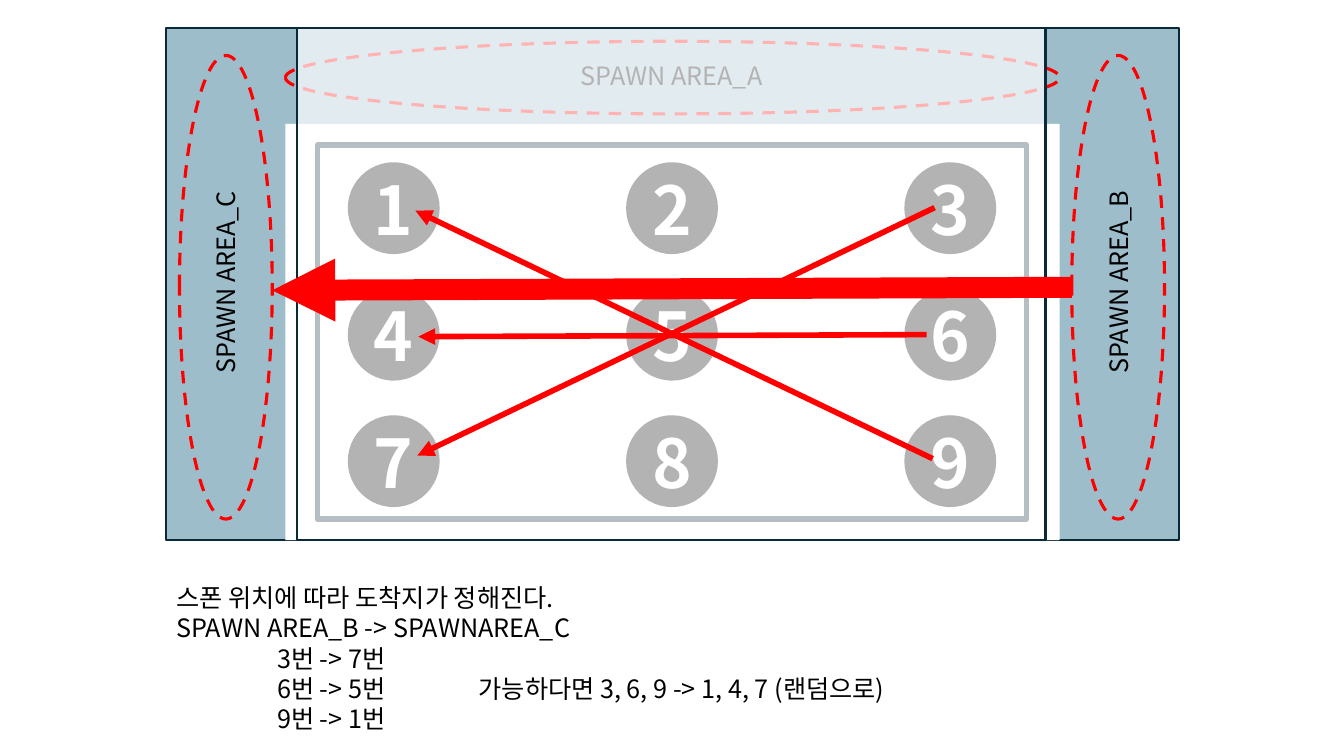
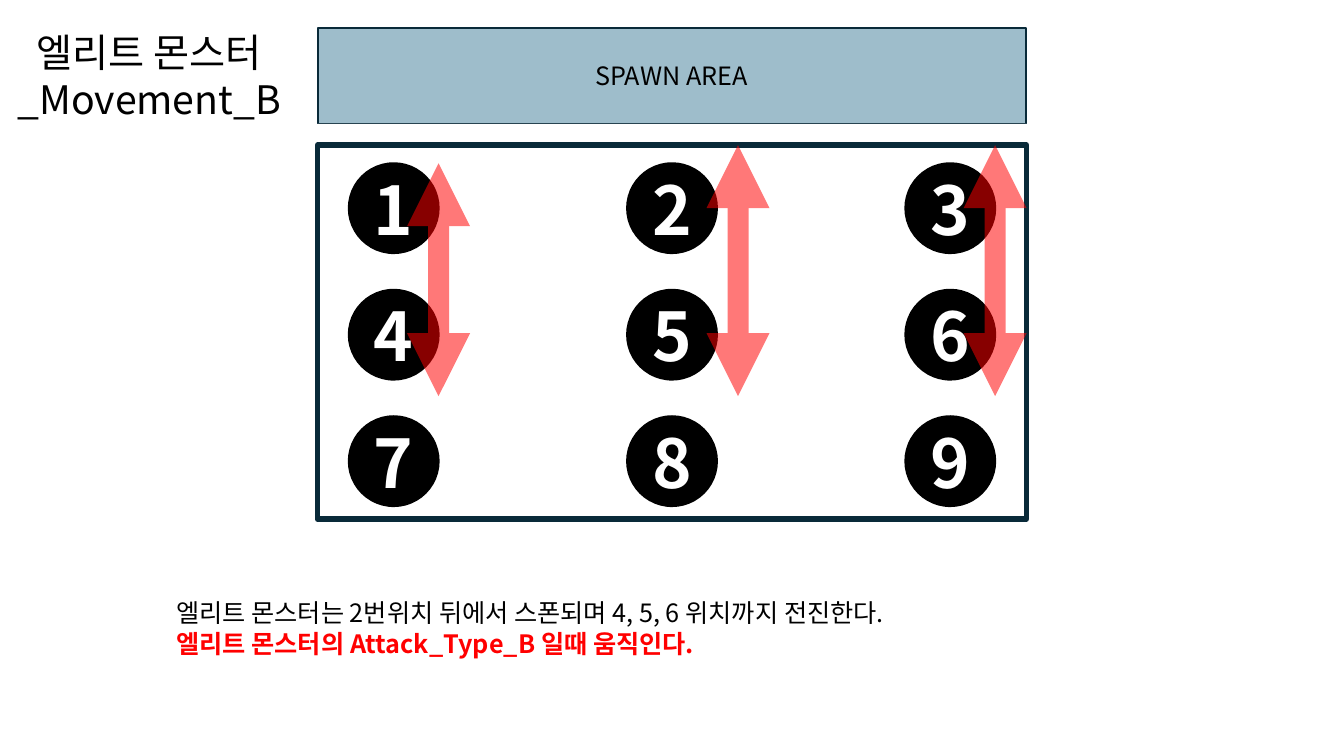
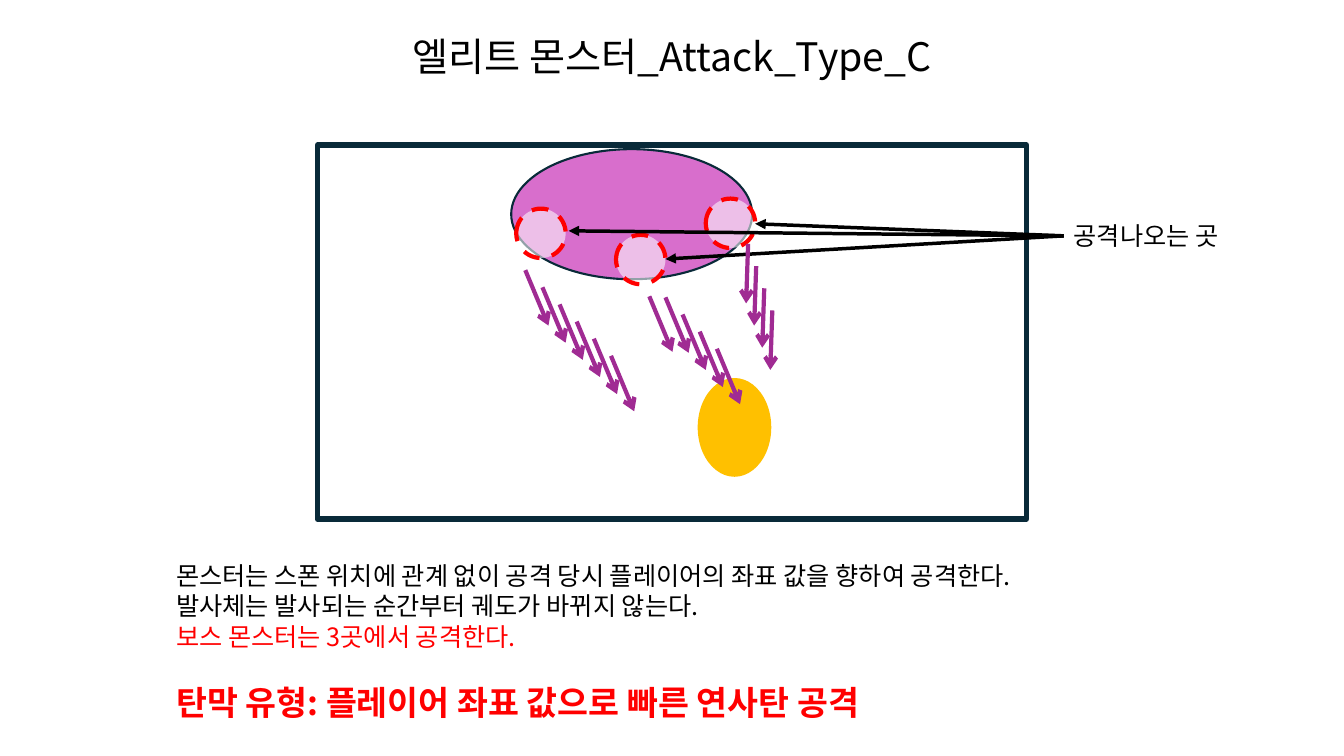
from pptx import Presentation
from pptx import util as u
from pptx.dml.color import RGBColor
from pptx.enum import dml, shapes, text
from pptx.oxml import ns
from lxml import etree

FONT = "Noto Sans CJK KR"
COLORS = {
    "ink": "000000", "paper": "FFFFFF", "navy": "092A39", "teal": "156082",
    "red": "FF0000", "pink": "D86ECC", "purple": "A02B93", "amber": "FFC000",
}
ARENA = (3.15, 1.44, 7.03, 3.71)
BACKING = (2.83, 1.23, 7.68, 4.13)
SPAWN_TOP = 0.28
NOTE_LEFT, NOTE_WIDTH = 1.65, 10.04
CENTER = text.PP_ALIGN.CENTER
DASH = dml.MSO_LINE.DASH
RECT = shapes.MSO_SHAPE.RECTANGLE
OVAL = shapes.MSO_SHAPE.OVAL


def inches(values):
    return [u.Inches(value) for value in values]


def apply(target, values):
    for name, value in values.items():
        setattr(target, name, value)


def color(name):
    return RGBColor.from_string(COLORS[name])


def add_child(parent, tag, **attributes):
    return etree.SubElement(parent, ns.qn(tag), attributes)


def set_alpha(solid_fill, percent):
    add_child(solid_fill[0], "a:alpha", val=str(percent * 1000))


def write(para, words, size=18, bold=False, ink="ink", align=None, before=0):
    apply(para, {"alignment": align, "space_before": u.Pt(before)})
    span = para.add_run()
    span.text = words
    apply(span.font, {"name": FONT, "size": u.Pt(size), "bold": bold})
    span.font.color.rgb = color(ink)
    add_child(span._r.get_or_add_rPr(), "a:ea", typeface=FONT)


def add_text(page, box, lines, rotation=0, tabs=()):
    label = page.shapes.add_textbox(*inches(box))
    label.rotation = rotation
    frame = label.text_frame
    apply(frame, {"word_wrap": True, "auto_size": text.MSO_AUTO_SIZE.SHAPE_TO_FIT_TEXT})
    for index, (words, values) in enumerate(lines):
        para = frame.add_paragraph() if index else frame.paragraphs[0]
        write(para, words, **values)
        if tabs:
            stops = add_child(para._p.get_or_add_pPr(), "a:tabLst")
            for stop in tabs:
                add_child(stops, "a:tab", pos=str(u.Inches(stop)), algn="l")
    return label


def add_title(page, box, words):
    title = page.shapes.title
    apply(title, dict(zip(("left", "top", "width", "height"), inches(box))))
    frame = title.text_frame
    apply(frame, {"word_wrap": True, "auto_size": text.MSO_AUTO_SIZE.NONE,
                  "vertical_anchor": text.MSO_ANCHOR.TOP})
    write(frame.paragraphs[0], words, size=28, align=CENTER)


def add_figure(page, kind, box, fill=None, alpha=None, line=None, width=1.5, dash=None):
    figure = page.shapes.add_shape(kind, *inches(box))
    figure.shadow.inherit = False
    if fill:
        figure.fill.solid()
        figure.fill.fore_color.rgb = color(fill)
        if alpha:
            set_alpha(figure._element.spPr.find(ns.qn("a:solidFill")), alpha)
    else:
        figure.fill.background()
    if line:
        figure.line.color.rgb = color(line)
        apply(figure.line, {"width": u.Pt(width), "dash_style": dash})
    else:
        figure.line.fill.background()
    return figure


def add_arrow(page, start, end, ink, width, tip="triangle", double=False, alpha=None):
    arrow = page.shapes.add_connector(
        shapes.MSO_CONNECTOR.STRAIGHT, *inches(start), *inches(end))
    arrow.line.color.rgb = color(ink)
    arrow.line.width = u.Pt(width)
    stroke = arrow.line._get_or_add_ln()
    if alpha:
        set_alpha(stroke.find(ns.qn("a:solidFill")), alpha)
    if double:
        add_child(stroke, "a:headEnd", type=tip)
    add_child(stroke, "a:tailEnd", type=tip)
    add_child(arrow._element.spPr, "a:effectLst")
    return arrow


def add_arena(page, box):
    return add_figure(page, RECT, box, line="navy", width=4)


def add_numbered_arena(page, box):
    left, top, width, height = box
    size, side, head = 0.89, 0.31, 0.18
    step_x = (width - 2 * side - size) / 2
    step_y = 2.51 / 2
    add_figure(page, RECT, BACKING, fill="paper")
    add_arena(page, box)
    for index in range(9):
        row, column = divmod(index, 3)
        spot = (left + side + column * step_x, top + head + row * step_y, size, size)
        circle = add_figure(page, OVAL, spot, fill="ink", line="ink")
        frame = circle.text_frame
        apply(frame, {"margin_left": 0, "margin_right": 0,
                      "vertical_anchor": text.MSO_ANCHOR.MIDDLE})
        write(frame.paragraphs[0], str(index + 1), size=48, bold=True, ink="paper", align=CENTER)


def add_spawn_area(page, box):
    add_figure(page, RECT, box, fill="teal", alpha=41, line="navy")


def add_spawn_label(page, center_x, top, words, rotation=0):
    width = 2.44
    add_text(page, (center_x - width / 2, top, width, 0.4), [(words, {"align": CENTER})], rotation)


def add_volley(page, start, step, flight, count):
    for index in range(count):
        x, y = (origin + index * gap for origin, gap in zip(start, step))
        add_arrow(page, (x, y), (x + flight[0], y + flight[1]), "purple", 3, tip="arrow")


def build_route_page(deck):
    page = deck.slides.add_slide(deck.slide_layouts[6])
    add_spawn_area(page, (1.65, SPAWN_TOP, 10.04, 5.08))
    add_spawn_label(page, 6.66, 0.55, "SPAWN AREA_A")
    add_numbered_arena(page, ARENA)
    lines = ["스폰 위치에 따라 도착지가 정해진다.", "SPAWN AREA_B -> SPAWNAREA_C",
             "\t3번 -> 7번", "\t6번 -> 5번\t가능하다면 3, 6, 9 -> 1, 4, 7 (랜덤으로)",
             "\t9번 -> 1번"]
    add_text(page, (NOTE_LEFT, 5.73, NOTE_WIDTH, 1.62),
             [(line, {}) for line in lines], tabs=(1, 3))
    for zone in ((1.78, 0.55, 0.92, 4.6), (10.63, 0.55, 0.92, 4.6), (2.83, 0.41, 7.68, 0.72)):
        add_figure(page, OVAL, zone, line="red", width=2.25, dash=DASH)
    for center_x, words in ((2.24, "SPAWN AREA_C"), (11.09, "SPAWN AREA_B")):
        add_spawn_label(page, center_x, 2.6, words, rotation=270)
    add_figure(page, RECT, (2.95, SPAWN_TOP, 7.42, 5.08), fill="paper", alpha=70, line="navy")
    add_arrow(page, (10.63, 2.85), (2.7, 2.88), "red", 15)
    for start, end in (((9.27, 2.06), (4.14, 4.52)), ((9.25, 4.55), (4.12, 2.09)),
                       ((9.19, 3.32), (4.15, 3.34))):
        add_arrow(page, start, end, "red", 4)


def build_movement_page(deck):
    page = deck.slides.add_slide(deck.slide_layouts[5])
    add_title(page, (0, 0.23, 2.96, 1.04), "엘리트 몬스터_Movement_B")
    add_spawn_area(page, (ARENA[0], SPAWN_TOP, ARENA[2], 0.95))
    add_spawn_label(page, 6.66, 0.55, "SPAWN AREA")
    add_numbered_arena(page, ARENA)
    add_text(page, (NOTE_LEFT, 5.88, NOTE_WIDTH, 0.71), [
        ("엘리트 몬스터는 2번위치 뒤에서 스폰되며 4, 5, 6 위치까지 전진한다.", {}),
        ("엘리트 몬스터의 Attack_Type_B 일때 움직인다.", {"bold": True, "ink": "red"}),
    ])
    for x, top in ((4.35, 1.62), (7.32, 1.44), (9.87, 1.44)):
        add_arrow(page, (x, 3.93), (x, top), "red", 15, double=True, alpha=53)


def build_attack_page(deck):
    page = deck.slides.add_slide(deck.slide_layouts[5])
    add_title(page, (3.15, 0.27, 7.03, 0.57), "엘리트 몬스터_Attack_Type_C")
    add_text(page, (NOTE_LEFT, 5.51, NOTE_WIDTH, 1.72), [
        ("몬스터는 스폰 위치에 관계 없이 공격 당시 플레이어의 좌표 값을 향하여 공격한다.", {}),
        ("발사체는 발사되는 순간부터 궤도가 바뀌지 않는다.", {}),
        ("보스 몬스터는 3곳에서 공격한다.", {"ink": "red"}),
        ("탄막 유형: 플레이어 좌표 값으로 빠른 연사탄 공격",
         {"size": 24, "bold": True, "ink": "red", "before": 22}),
    ])
    add_arena(page, ARENA)
    add_figure(page, OVAL, (5.07, 1.48, 2.39, 1.29), fill="pink", line="navy")
    add_figure(page, OVAL, (6.92, 3.75, 0.73, 0.98), fill="amber")
    label = add_text(page, (10.55, 2.14, 2.08, 0.4), [("공격나오는 곳", {})])
    for muzzle, tip in (((6.11, 2.33), (6.6, 2.57)), ((7, 1.97), (7.49, 2.22)),
                        ((5.12, 2.07), (5.64, 2.29))):
        add_figure(page, OVAL, (*muzzle, 0.49, 0.49), fill="paper", alpha=56,
                   line="red", width=3, dash=DASH)
        pointer = add_arrow(page, (10.55, 2.34), tip, "ink", 2.5)
        pointer.begin_connect(label, 1)
    for start, step, flight, count in (
            ((5.21, 2.68), (0.17, 0.17), (0.23, 0.55), 6),
            ((6.44, 2.94), (0, 0), (0.23, 0.55), 1),
            ((6.6, 2.95), (0.17, 0.17), (0.23, 0.55), 4),
            ((7.42, 2.42), (0.08, 0.22), (-0.02, 0.59), 4)):
        add_volley(page, start, step, flight, count)


def main():
    deck = Presentation()
    apply(deck, {"slide_width": u.Inches(13.33), "slide_height": u.Inches(7.5)})
    for build in (build_route_page, build_movement_page, build_attack_page):
        build(deck)
    deck.save("out.pptx")


if __name__ == "__main__":
    main()
